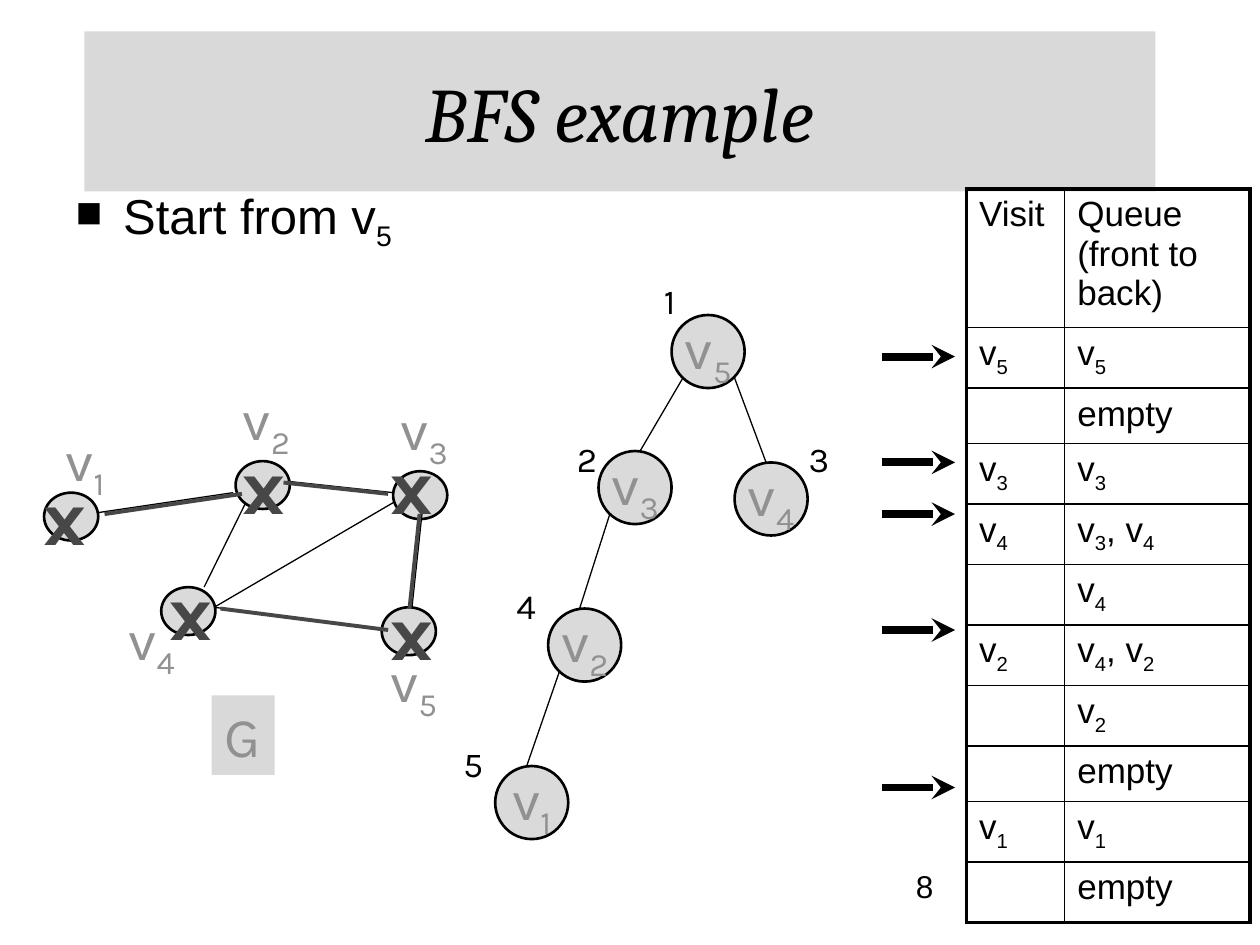
from lxml.etree import SubElement as Sub
from pptx import Presentation
from pptx.dml.color import RGBColor as RGB
from pptx.enum.shapes import MSO_CONNECTOR as Conn, MSO_SHAPE as Shape
from pptx.enum.text import MSO_ANCHOR as Anchor, MSO_AUTO_SIZE as Auto, PP_ALIGN as Align
from pptx.oxml.ns import qn
from pptx.util import Inches, Pt

BLACK = RGB(0, 0, 0)
PALE = RGB(0xD9, 0xD9, 0xD9)
DISC = RGB(0xDA, 0xDA, 0xDA)
GREY = RGB(0x91, 0x91, 0x91)
DARK = RGB(0x47, 0x47, 0x47)

TREE = [
    ("v_5", (5.33, 2.5), "1", (5.17, 2.17), None, 0),
    ("v_3", (4.75, 3.58), "2", (4.48, 3.42), "v_5", 0.33),
    ("v_4", (5.83, 3.67), "3", (6.32, 3.42), "v_5", 0.25),
    ("v_2", (4.35, 4.83), "4", (4, 4.59), "v_3", 0.25),
    ("v_1", (3.93, 6.08), "5", (3.58, 5.84), "v_2", 0.25),
]
GRAPH = [
    ("v_1", (0.35, 3.91), (0.42, 3.33), (0.25, 3.67)),
    ("v_2", (1.87, 3.66), (1.83, 3), (1.83, 3.42)),
    ("v_3", (3.12, 3.74), (3.08, 3.08), (3, 3.42)),
    ("v_4", (1.28, 4.66), (0.92, 4.75), (1.25, 4.42)),
    ("v_5", (3.03, 4.82), (3, 5.08), (3, 4.58)),
]
EDGES = [
    ((3.12, 3.91), (2.28, 3.82)),
    ((3.03, 4.99), (1.7, 4.82)),
    ((3.12, 3.99), (1.7, 4.82)),
    ((1.95, 3.99), (1.62, 4.66)),
    ((0.77, 4.07), (1.85, 3.91)),
    ((3.27, 4.82), (3.35, 4.07)),
]
USED = [
    ((3.08, 3.92), (2.25, 3.83)),
    ((3.08, 5), (1.75, 4.83)),
    ((0.83, 4.08), (1.92, 3.92)),
    ((3.25, 4.83), (3.33, 4.08)),
]
STEPS = [
    ("Visit", "Queue (front to back)", 1.1),
    ("v_5", "v_5", 0.48),
    ("", "empty", 0.44),
    ("v_3", "v_3", 0.48),
    ("v_4", "v_3, v_4", 0.48),
    ("", "v_4", 0.48),
    ("v_2", "v_4, v_2", 0.48),
    ("", "v_2", 0.48),
    ("", "empty", 0.44),
    ("v_1", "v_1", 0.48),
    ("", "empty", 0.48),
]
COLS = (0.78, 1.47)
ARROWS = (2.83, 3.67, 4.08, 5, 6.25)

deck = Presentation()
deck.slide_width, deck.slide_height = Inches(10), Inches(7.5)
slide = deck.slides.add_slide(deck.slide_layouts[6])
shapes = slide.shapes


def write(frame, text, size, color=BLACK, face="Karla", align=None):
    para = frame.paragraphs[0]
    para.alignment = align
    for i, part in enumerate(text.split("_")):
        if i:
            low = para.add_run()
            low.text = part[0]
            low.font._element.set("baseline", "-25000")
            part = part[1:]
        if part:
            para.add_run().text = part
    font = para.font
    font.size, font.name, font.color.rgb = Pt(size), face, color
    return para


def label(spot, size, text, points, color=BLACK, face="Karla", wrap=False):
    box = shapes.add_textbox(*map(Inches, spot + size))
    box.text_frame.word_wrap = wrap
    if not wrap:
        box.text_frame.auto_size = Auto.SHAPE_TO_FIT_TEXT
    return box, write(box.text_frame, text, points, color, face)


def draw(kind, spot, size, fill, edge=None):
    item = shapes.add_shape(kind, *map(Inches, spot + size))
    item.shadow.inherit = False
    item.fill.solid()
    item.fill.fore_color.rgb = fill
    if edge:
        item.line.color.rgb = BLACK
        item.line.width = Pt(edge)
    else:
        item.line.fill.background()
    item.text_frame.vertical_anchor = Anchor.MIDDLE
    return item


def link(start, end, width=0.75, color=BLACK, arrow=False):
    line = shapes.add_connector(Conn.STRAIGHT, *map(Inches, start + end))
    line.line.color.rgb = color
    line.line.width = Pt(width)
    if arrow:
        Sub(line.line._get_or_add_ln(), qn("a:tailEnd"), type="stealth")
    Sub(line._element.spPr, qn("a:effectLst"))


def border(cell, sides):
    props = cell._tc.get_or_add_tcPr()
    for side, thick in zip("LRTB", sides):
        line = Sub(props, qn("a:ln" + side), w=str(Pt(2.25 if thick else 1)))
        fill = Sub(line, qn("a:solidFill"))
        Sub(fill, qn("a:srgbClr"), val=str(BLACK))


label((7.17, 6.83), (2.33, 0.52), "8", 18, face="Arial", wrap=True)
title = draw(Shape.RECTANGLE, (0.67, 0.25), (8.5, 1.27), PALE)
write(title.text_frame, "BFS example", 44, face="Cambria", align=Align.CENTER).font.italic = True

box, para = label((0.5, 1.42), (9, 0.69), "Start from v_5", 28, face="Arial", wrap=True)
props = para._p.get_or_add_pPr()
props.set("marL", str(Inches(0.38)))
props.set("indent", str(-Inches(0.38)))
mark = [Sub(props, qn("a:buSzPct"), val="75000"), Sub(props, qn("a:buChar"), char="■")]
for i, part in enumerate(mark):
    props.insert(i, part)

spots = {}
for name, (x, y), rank, near, top, shift in TREE:
    spots[name] = x, y
    node = draw(Shape.OVAL, (x, y), (0.58, 0.58), DISC, 1.5)
    node.text_frame.word_wrap = False
    write(node.text_frame, name, 32, GREY, align=Align.CENTER)
    if top:
        px, py = spots[top]
        link((x + shift, y), (px + (0.09 if x < px else 0.5), py + 0.5))
    label(near, (0.35, 0.43), rank, 20)

for name, spot, near, cross in GRAPH:
    draw(Shape.OVAL, spot, (0.43, 0.38), DISC, 1.5)
    label(near, (0.58, 0.63), name, 32, GREY)
for start, end in EDGES:
    link(start, end)
box, para = label((1.68, 5.52), (0.5, 0.63), "G", 32, GREY)
box.fill.solid()
box.fill.fore_color.rgb = PALE

high = sum(step[2] for step in STEPS)
grid = shapes.add_table(len(STEPS), len(COLS), *map(Inches, (7.67, 1.5, sum(COLS), high))).table
grid.first_row = grid.horz_banding = False
for c, wide in enumerate(COLS):
    grid.columns[c].width = Inches(wide)
for r, (*texts, tall) in enumerate(STEPS):
    grid.rows[r].height = Inches(tall)
    for c, text in enumerate(texts):
        cell = grid.cell(r, c)
        write(cell.text_frame, text, 20, face="Arial")
        border(cell, (c == 0, c == len(COLS) - 1, r == 0, r == len(STEPS) - 1))
        cell.fill.background()

for name, spot, near, cross in GRAPH:
    label(cross, (0.57, 0.83), "x", 44, DARK)[1].font.bold = True
for start, end in USED:
    link(start, end, 2.25, DARK)
for y in ARROWS:
    link((7, y), (7.58, y), 4.5, arrow=True)

deck.save("out.pptx")
